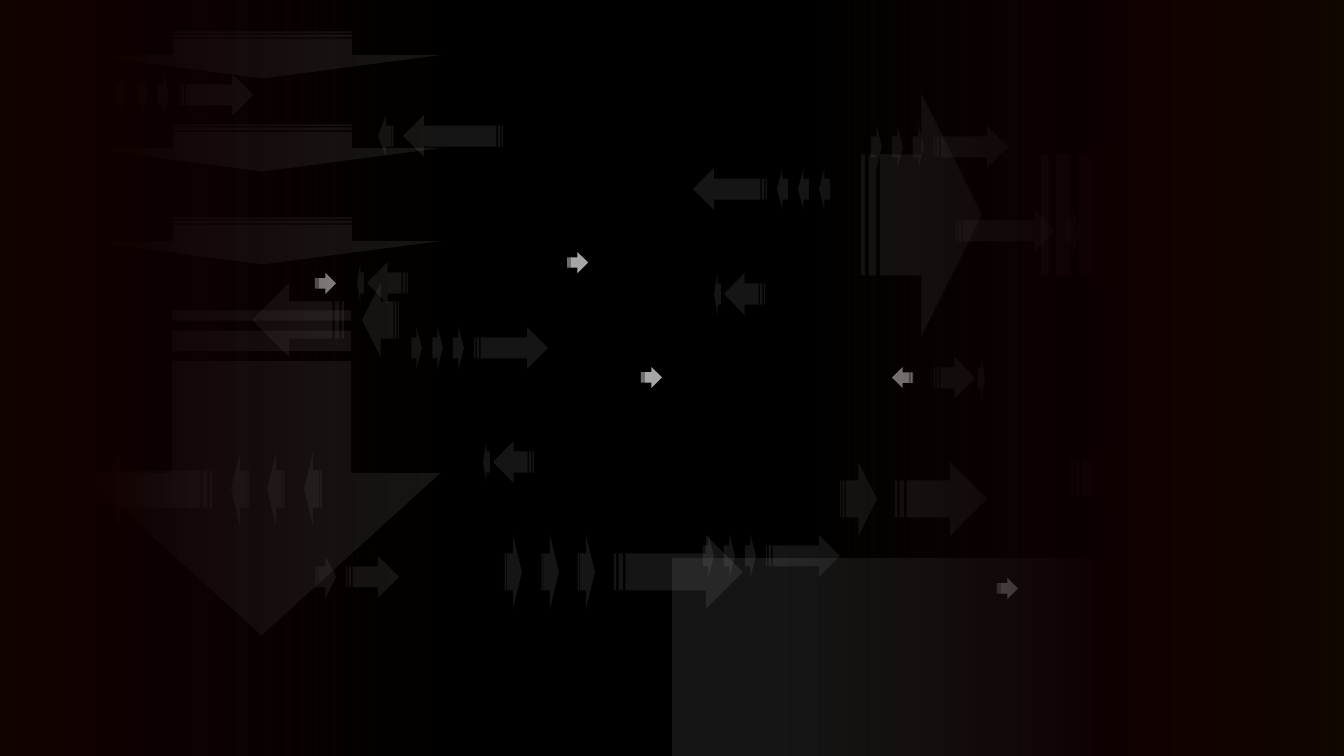
"""Build a dark slide of faint striped arrows between shaded side panels."""
from lxml.etree import SubElement as Sub
from pptx import Presentation as Deck
from pptx.dml.color import RGBColor as RGB
from pptx.enum.shapes import MSO_SHAPE as Kind
from pptx.oxml.ns import qn

SCALE = 9144000 / 1344
GREY, LIGHT, BLACK = "808080", "A6A6A6", "000000"
FAINT = 17

DOT = [(0, 21)]
CREW = [(0, 11), (21, 11), (42, 11), (63, 74)]
FLEET = [(0, 18), (37, 18), (73, 18), (110, 129)]
PAIR = [(0, 21), (31, 53)]
DUO = [(0, 37), (55, 92)]
TWIN = [(0, 121), (180, 302)]
SPARK = [(0, 41), (44, 7)]
DART = [(0, 100), (109, 16)]
LANCE = [(0, 71), (78, 12)]

TRAINS = [
    (116, 74, 42, CREW, False),
    (357, 262, 42, SPARK, True),
    (315, 556, 42, PAIR, False),
    (567, 252, 21, DOT, False),
    (315, 273, 21, DOT, False),
    (378, 115, 42, DART, True),
    (861, 94, 242, TWIN, False),
    (411, 327, 42, CREW, False),
    (483, 441, 42, SPARK, True),
    (83, 452, 74, FLEET, True),
    (1071, 441, 74, LANCE, False),
    (252, 283, 74, DUO, True),
    (871, 126, 42, CREW, False),
    (714, 273, 42, SPARK, True),
    (997, 578, 21, DOT, False),
    (641, 367, 21, DOT, False),
    (703, 535, 42, CREW, False),
    (693, 168, 42, CREW, True),
    (934, 357, 42, SPARK, False),
    (892, 367, 21, DOT, True),
    (956, 210, 42, DART, False),
    (504, 535, 74, FLEET, False),
    (840, 462, 74, DUO, False),
]

PANELS = [
    (788, -126, 0, (BLACK, 100), "0D0D0D"),
    (-242, -126, 180, (BLACK, 100), "0D0D0D"),
    (810, -103, 0, ("C00000", 6), "FF0000"),
    (-219, -103, 180, ("C00000", 6), "FF0000"),
    (1071, -94, 0, ("00C009", 6), "FF0000"),
    (-504, -116, 180, ("00C009", 6), "FF0000"),
]


def px(num):
    """Turn pixels into EMU."""
    return round(num * SCALE)


def hue(code):
    """Turn a hex string into a colour."""
    return RGB.from_string(code)


def fade(shape, *parts):
    """Set the opacity of each fill colour, in percent."""
    for node, part in zip(shape._element.spPr.iter(qn("a:srgbClr")), parts):
        if part < 100:
            Sub(node, qn("a:alpha")).set("val", str(part * 1000))


def form(host, kind, box, turn=0):
    """Add a plain shape without line or shadow."""
    shape = host.add_shape(kind, *map(px, box))
    shape.shadow.inherit = False
    shape.line.fill.background()
    shape.rotation = turn
    return shape


def tint(shape, code, part=100):
    """Fill a shape with one colour."""
    shape.fill.solid()
    shape.fill.fore_color.rgb = hue(code)
    fade(shape, part)


def arrow(host, box, turn=0, code=GREY, part=FAINT):
    """Add one striped arrow."""
    tint(form(host, Kind.STRIPED_RIGHT_ARROW, box, turn), code, part)


def train(shapes, x, y, high, parts, left):
    """Add a row of arrows, mirrored when it points left."""
    turn = 180 if left else 0
    if parts is DOT:
        arrow(shapes, (x, y, high, high), turn, LIGHT, 100)
        return
    host = shapes.add_group_shape().shapes
    span = sum(parts[-1])
    for gap, wide in parts:
        step = span - gap - wide if left else gap
        arrow(host, (x + step, y, wide, high), turn)


def drop(shapes):
    """Add the column of arrows that point down."""
    host = shapes.add_group_shape().shapes
    for row in range(3):
        arrow(host, (239, 93 * row - 124, 47, 358), 90)
    arrow(host, (99, 294, 325, 358), 90)


def panel(shapes, x, y, turn, edge, tone):
    """Add a side panel that fades out towards the middle."""
    shape = form(shapes, Kind.RECTANGLE, (x, y, 661, 925), turn)
    shape.fill.gradient()
    shape.fill.gradient_angle = 180
    code, part = edge
    first, last = shape.fill.gradient_stops
    first.position, last.position = 0.48, 1
    first.color.rgb, last.color.rgb = hue(code), hue(tone)
    fade(shape, part, 0)


def main():
    """Build and save the slide."""
    deck = Deck()
    deck.slide_width, deck.slide_height = px(1344), px(756)
    slide = deck.slides.add_slide(deck.slide_layouts[6])
    back = slide.background.fill
    back.solid()
    back.fore_color.rgb = hue(BLACK)
    shapes = slide.shapes
    tint(form(shapes, Kind.RECTANGLE, (672, 558, 765, 198), 180), GREY, FAINT)
    for row in TRAINS:
        train(shapes, *row)
    drop(shapes)
    for row in PANELS:
        panel(shapes, *row)
    deck.save("out.pptx")


if __name__ == "__main__":
    main()
